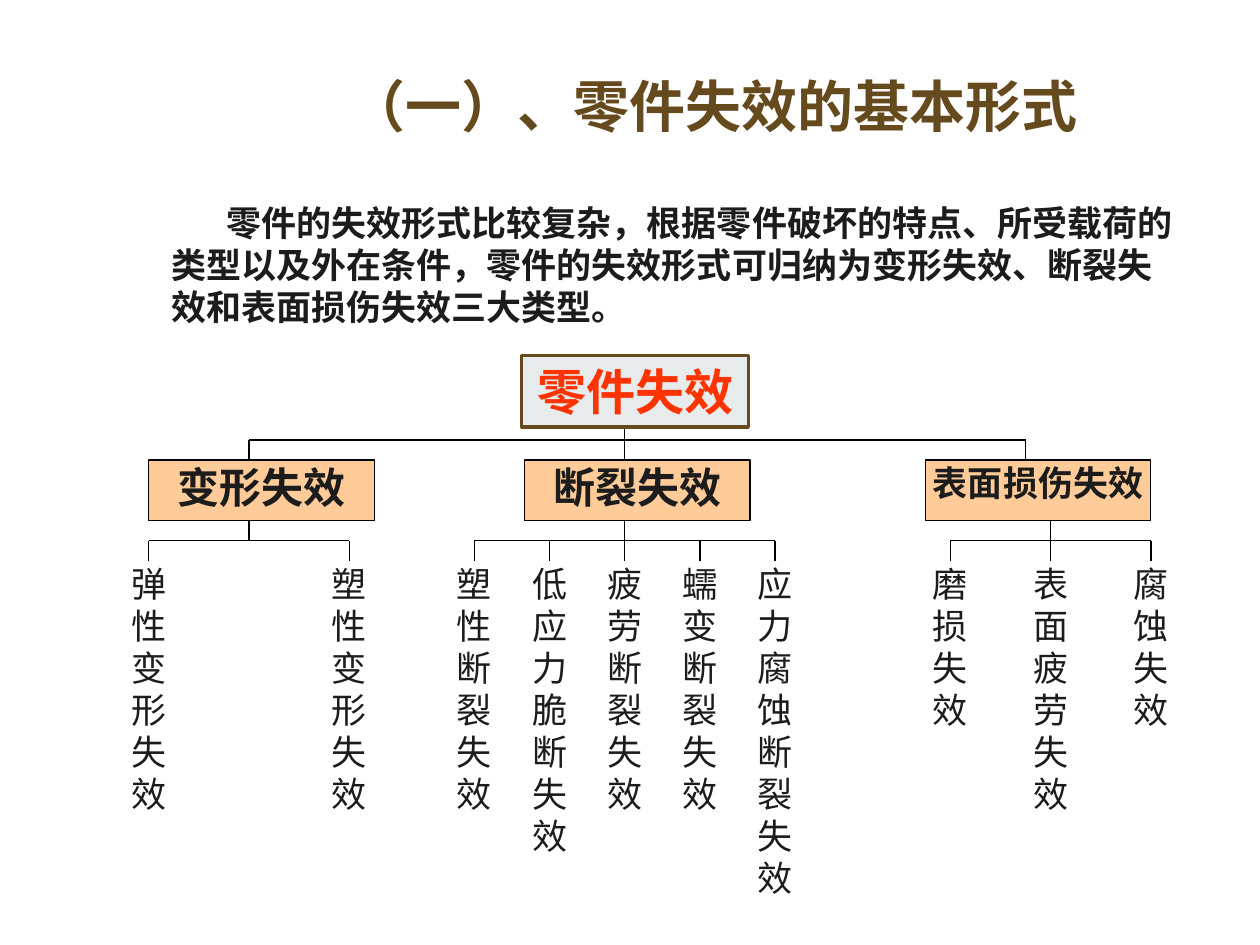
from pptx import Presentation
from pptx.dml.color import RGBColor
from pptx.enum.shapes import MSO_CONNECTOR, MSO_SHAPE
from pptx.enum.text import MSO_ANCHOR, MSO_AUTO_SIZE, PP_ALIGN
from pptx.oxml.ns import qn
from pptx.util import Cm, Pt
from lxml import etree

RECT, LINE = MSO_SHAPE.RECTANGLE, MSO_CONNECTOR.STRAIGHT
LEFT, MID = PP_ALIGN.LEFT, PP_ALIGN.CENTER
TOP, CENTER = MSO_ANCHOR.TOP, MSO_ANCHOR.MIDDLE
FIXED = MSO_AUTO_SIZE.NONE
SANS, SERIF = "Arial", "Times New Roman"
HUES = {"brown": "654A1D", "ink": "1C1C1C", "black": "000000",
        "peach": "FFCC99", "mist": "E7EBEB", "red": "FF3300"}

STEP_X, STEP_Y = 0.505, 0.407
ROOT = 19
TREE = [
    ("变形失效", 24, 0, 4, 4,
     [("弹性变形失效", 0, 12), ("塑性变形失效", 8, 12)]),
    ("断裂失效", 24, 15, 19, 19,
     [("塑性断裂失效", 13, 12), ("低应力脆断失效", 16, 14),
      ("疲劳断裂失效", 19, 14), ("蠕变断裂失效", 22, 14),
      ("应力腐蚀断裂失效", 25, 16)]),
    ("表面损伤失效", 20, 31, 35, 36,
     [("磨损失效", 32, 16), ("表面疲劳失效", 36, 16),
      ("腐蚀失效", 40, 16)]),
]


def col(unit):
    """Return the horizontal place of a grid column."""
    return 3 + STEP_X * unit


def row(unit):
    """Return the vertical place of a grid row."""
    return 8.46 + STEP_Y * unit


class Chart:
    """Holds the style and the current slide."""

    def __init__(self, slide):
        """Keep the slide to draw on."""
        self.slide = slide

    def hue(self, name):
        """Return a named colour."""
        return RGBColor.from_string(HUES[name])

    def label(self, shape, text, size, font=SERIF, hue="ink", bold=False,
              align=MID, anchor=TOP, inset=(0.03, 0.03), indent=None):
        """Put one styled paragraph in a shape."""
        frame = shape.text_frame
        frame.word_wrap, frame.auto_size = True, FIXED
        frame.vertical_anchor = anchor
        frame.margin_left = frame.margin_right = Cm(inset[0])
        frame.margin_top = frame.margin_bottom = Cm(inset[1])
        para = frame.paragraphs[0]
        para.text, para.alignment = text, align
        para.space_before = Pt(0)
        if indent is not None:
            props = para._p.get_or_add_pPr()
            props.set("marL", "0")
            props.set("indent", str(Cm(indent)))
            etree.SubElement(props, qn("a:buNone"))
        para.font.name, para.font.size = font, Pt(size)
        para.font.bold = bold
        para.font.color.rgb = self.hue(hue)

    def holder(self, shape, area, text, size, hue, indent=0):
        """Move and fill a placeholder."""
        shape.left, shape.top, shape.width, shape.height = map(Cm, area)
        self.label(shape, text, size, SANS, hue, True, LEFT,
                   inset=(0.25, 0.13), indent=indent)

    def box(self, area, fill, edge, width, text, size, **style):
        """Draw a framed box with text."""
        shape = self.slide.shapes.add_shape(RECT, *map(Cm, area))
        shape.shadow.inherit = False
        shape.fill.solid()
        shape.fill.fore_color.rgb = self.hue(fill)
        shape.line.color.rgb = self.hue(edge)
        shape.line.width = Pt(width)
        self.label(shape, text, size, bold=True, **style)

    def leaf(self, text, unit, tall):
        """Draw a narrow label that runs downwards."""
        area = col(unit - 1), row(7), 2 * STEP_X, tall * STEP_Y
        shape = self.slide.shapes.add_textbox(*map(Cm, area))
        self.label(shape, text, 20)

    def line(self, x1, y1, x2, y2):
        """Join two grid points."""
        ends = col(x1), row(y1), col(x2), row(y2)
        link = self.slide.shapes.add_connector(LINE, *map(Cm, ends))
        link.line.color.rgb = self.hue("black")
        link.line.width = Pt(0.75)
        etree.SubElement(link._element.spPr, qn("a:effectLst"))

    def branch(self, text, size, left, head, stem, leaves):
        """Draw one branch with its leaves and lines."""
        area = col(left), row(2), 9 * STEP_X, 3 * STEP_Y
        self.box(area, "peach", "black", 0.75, text, size)
        self.line(head, 1, head, 2)
        self.line(stem, 5, stem, 6)
        self.line(leaves[0][1], 6, leaves[-1][1], 6)
        for name, unit, tall in leaves:
            self.leaf(name, unit, tall)
            self.line(unit, 6, unit, 7)


def main():
    """Build the slide."""
    deck = Presentation()
    deck.slide_width, deck.slide_height = Cm(25.4), Cm(19.05)
    slide = deck.slides.add_slide(deck.slide_layouts[1])
    chart = Chart(slide)
    title, body = slide.placeholders
    chart.holder(title, (6.8, 1.32, 18.6, 1.63),
                 "（一）、零件失效的基本形式", 32, "brown")
    chart.holder(body, (3.2, 3.94, 20.7, 2.8),
                 "零件的失效形式比较复杂，根据零件破坏的特点、所受载荷的类型以及"
                 "外在条件，零件的失效形式可归纳为变形失效、断裂失效和表面损伤"
                 "失效三大类型。", 20, "ink", 1.11)
    for branch in TREE:
        chart.branch(*branch)
    chart.line(TREE[0][3], 1, TREE[-1][3], 1)
    chart.line(ROOT, 0, ROOT, 1)
    chart.box((10.52, 7.16, 4.57, 1.45), "mist", "brown", 1.75,
              "零件失效", 28, font=SANS, hue="red", anchor=CENTER,
              inset=(0.25, 0.13))
    deck.save("out.pptx")


if __name__ == "__main__":
    main()
